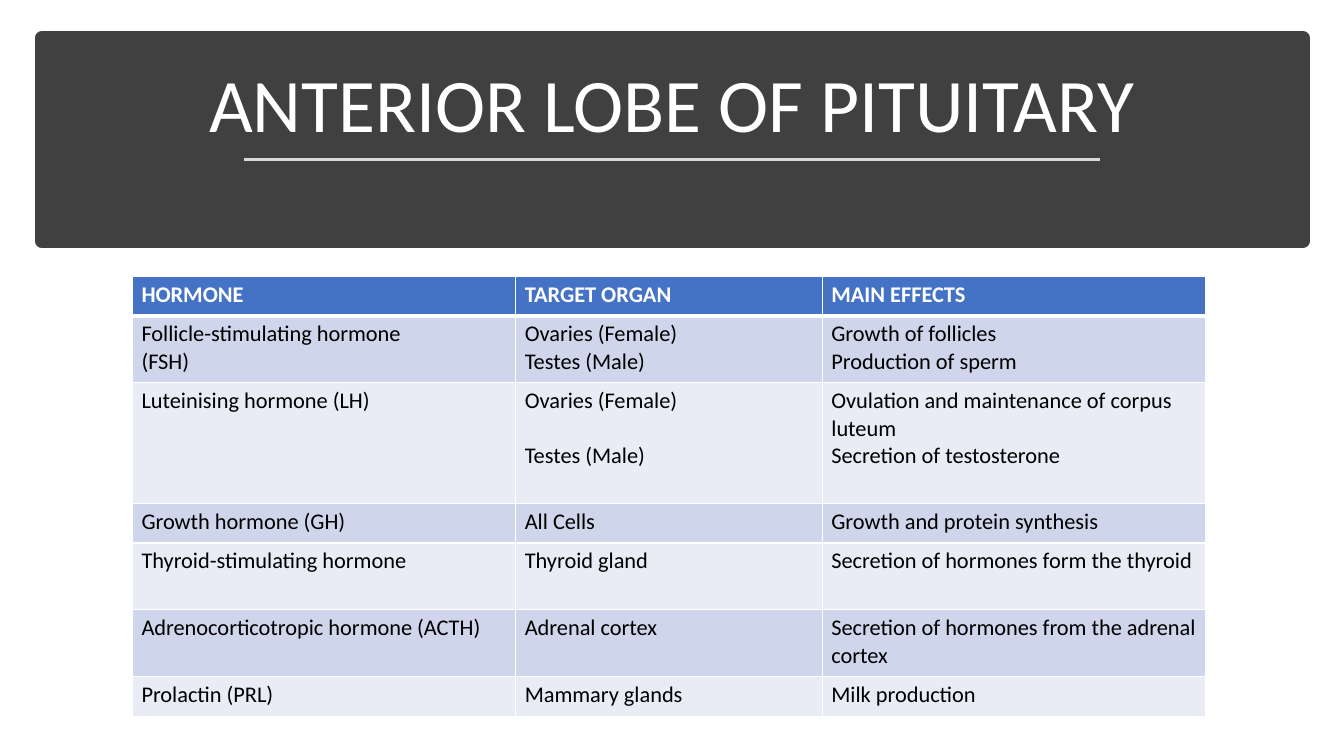
from dataclasses import dataclass

import pptx
import pptx.dml.color
import pptx.enum.shapes
import pptx.enum.text
import pptx.oxml
import pptx.oxml.ns
import pptx.util
from lxml import etree

Pt = pptx.util.Pt
qn = pptx.oxml.ns.qn


@dataclass(frozen=True)
class Theme:
    font: str = "Calibri"
    title_size: float = 54
    table_size: float = 16
    line_height: float = 19.5
    banner: str = "404040"
    rule: str = "D9D9D9"
    white: str = "FFFFFF"
    black: str = "000000"
    header: str = "4472C4"
    bands: tuple = ("CFD5EA", "E9EBF5")


THEME = Theme()

COLUMN_WIDTHS = (273.8, 219, 273.8)
ROW_HEIGHTS = (28.3, 47.7, 86.2, 28.3, 47.7, 47.7, 28.3)
TESTES_ROW = 2
HORMONES = (
    ("HORMONE", "TARGET ORGAN", "MAIN EFFECTS"),
    ("Follicle-stimulating hormone\n(FSH)", "Ovaries (Female)\nTestes (Male)",
     "Growth of follicles\nProduction of sperm"),
    ("Luteinising hormone (LH)", "Ovaries (Female)\nTestes (Male)",
     "Ovulation and maintenance of corpus luteum\nSecretion of testosterone"),
    ("Growth hormone (GH)", "All Cells", "Growth and protein synthesis"),
    ("Thyroid-stimulating hormone", "Thyroid gland",
     "Secretion of hormones form the thyroid"),
    ("Adrenocorticotropic hormone (ACTH)", "Adrenal cortex",
     "Secretion of hormones from the adrenal cortex"),
    ("Prolactin (PRL)", "Mammary glands", "Milk production"),
)


def rgb(color):
    return pptx.dml.color.RGBColor.from_string(color)


def paint(fill, color):
    fill.solid()
    fill.fore_color.rgb = rgb(color)


def add_run(paragraph, text, size, color, bold=False):
    run = paragraph.add_run()
    run.text = text
    run.font.name = THEME.font
    run.font.size = Pt(size)
    run.font.bold = bold
    run.font.color.rgb = rgb(color)


def add_banner(slide, left, top, width, height):
    banner = slide.shapes.add_shape(
        pptx.enum.shapes.MSO_SHAPE.RECTANGLE, Pt(left), Pt(top), Pt(width), Pt(height))
    banner.shadow.inherit = False
    paint(banner.fill, THEME.banner)
    paint(banner.line.fill, THEME.banner)
    banner.line.width = Pt(10)


def add_title(slide, text, left, top, width, height):
    title = slide.shapes.add_textbox(Pt(left), Pt(top), Pt(width), Pt(height))
    frame = title.text_frame
    frame.word_wrap = True
    frame.vertical_anchor = pptx.enum.text.MSO_ANCHOR.BOTTOM
    paragraph = frame.paragraphs[0]
    paragraph.alignment = pptx.enum.text.PP_ALIGN.CENTER
    paragraph.line_spacing = 0.9
    add_run(paragraph, text, THEME.title_size, THEME.white)


def add_rule(slide, left, right, y):
    rule = slide.shapes.add_connector(
        pptx.enum.shapes.MSO_CONNECTOR.STRAIGHT, Pt(left), Pt(y), Pt(right), Pt(y))
    rule.line.color.rgb = rgb(THEME.rule)
    rule.line.width = Pt(1.75)
    etree.SubElement(rule.element.spPr, qn("a:effectLst"))


def add_borders(cell, row_index):
    """Draw white cell borders, thicker between the header and the body."""
    properties = cell._tc.get_or_add_tcPr()
    widths = {"L": 1, "R": 1,
              "T": 3 if row_index == 1 else 1,
              "B": 3 if row_index == 0 else 1}
    for side, width in widths.items():
        border = etree.SubElement(properties, qn(f"a:ln{side}"), w=str(Pt(width)))
        fill = etree.SubElement(border, qn("a:solidFill"))
        etree.SubElement(fill, qn("a:srgbClr"), val=THEME.white)


def fill_cell(cell, text, row_index, gap):
    is_header = row_index == 0
    add_borders(cell, row_index)
    paint(cell.fill, THEME.header if is_header else THEME.bands[(row_index - 1) % 2])
    cell.margin_left = cell.margin_right = Pt(6.5)
    cell.margin_top = cell.margin_bottom = Pt(3.25)
    frame = cell.text_frame
    for index, line in enumerate(text.split("\n")):
        paragraph = frame.add_paragraph() if index else frame.paragraphs[0]
        if index and gap:
            paragraph.space_before = Pt(gap)
        add_run(paragraph, line, THEME.table_size,
                THEME.white if is_header else THEME.black, is_header)


def add_hormone_table(slide, left, top):
    table = slide.shapes.add_table(
        len(HORMONES), len(COLUMN_WIDTHS), Pt(left), Pt(top),
        Pt(sum(COLUMN_WIDTHS)), Pt(sum(ROW_HEIGHTS))).table
    for column, width in zip(table.columns, COLUMN_WIDTHS):
        column.width = Pt(width)
    for row_index, (row, height) in enumerate(zip(table.rows, ROW_HEIGHTS)):
        row.height = Pt(height)
        for column_index, text in enumerate(HORMONES[row_index]):
            # The male target lines up with its effect, below a two-line entry.
            is_spaced = (row_index, column_index) == (TESTES_ROW, 1)
            fill_cell(row.cells[column_index], text, row_index,
                      THEME.line_height if is_spaced else 0)


def main():
    presentation = pptx.Presentation()
    presentation.slide_width = Pt(960)
    presentation.slide_height = Pt(540)
    slide = presentation.slides.add_slide(presentation.slide_layouts[6])
    add_banner(slide, 29.8, 27, 900.7, 145.3)
    add_title(slide, "ANTERIOR LOBE OF PITUITARY", 41.5, 36.7, 877, 73.4)
    add_rule(slide, 174, 786, 113.8)
    add_hormone_table(slide, 94.6, 197.5)
    presentation.save("out.pptx")


if __name__ == "__main__":
    main()
